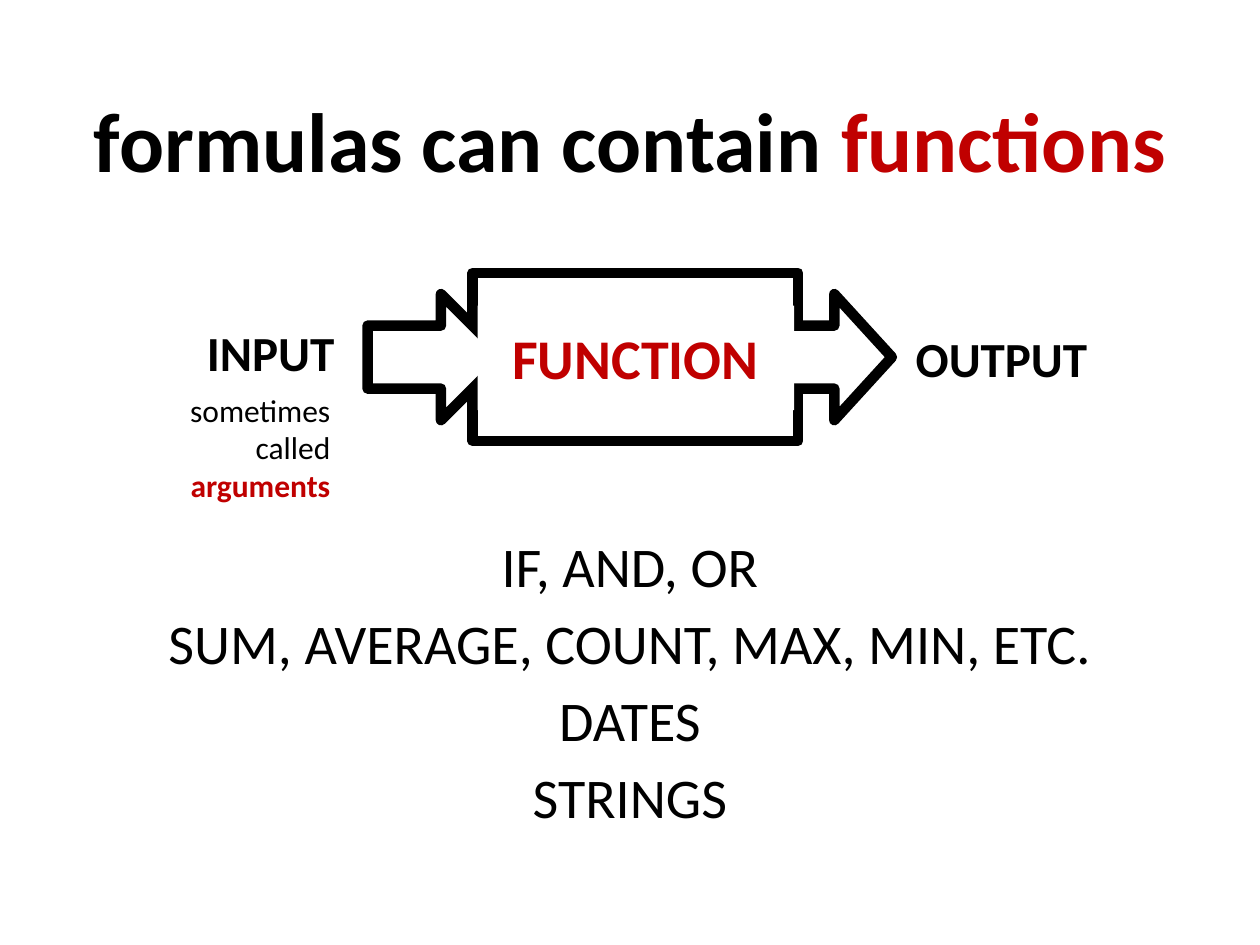
import pptx
import pptx.dml.color
import pptx.enum.shapes
import pptx.enum.text
import pptx.util

Cm = pptx.util.Cm
Pt = pptx.util.Pt
SHAPE = pptx.enum.shapes.MSO_SHAPE
ALIGN = pptx.enum.text.PP_ALIGN
ANCHOR = pptx.enum.text.MSO_ANCHOR

BLACK = "000000"
WHITE = "FFFFFF"
RED = "C00000"


def color(value):
    return pptx.dml.color.RGBColor.from_string(value)


def write(frame, paragraphs, size, align=ALIGN.LEFT, anchor=ANCHOR.TOP, space_before=0):
    frame.word_wrap = True
    frame.vertical_anchor = anchor
    for index, runs in enumerate(paragraphs):
        paragraph = frame.paragraphs[0] if index == 0 else frame.add_paragraph()
        paragraph.alignment = align
        paragraph.space_before = Pt(space_before)
        for text, ink, bold in runs:
            for number, line in enumerate(text.split("\n")):
                if number:
                    paragraph.add_line_break()
                if not line:
                    continue
                run = paragraph.add_run()
                run.text = line
                run.font.name = "Calibri"
                run.font.size = Pt(size)
                run.font.bold = bold
                run.font.color.rgb = color(ink)


def add_text(slide, box, paragraphs, size, **layout):
    label = slide.shapes.add_textbox(*map(Cm, box))
    write(label.text_frame, paragraphs, size, **layout)


def add_block(group, kind, box, outlined=True):
    block = group.shapes.add_shape(kind, *map(Cm, box))
    block.shadow.inherit = False
    block.fill.solid()
    block.fill.fore_color.rgb = color(WHITE)
    if outlined:
        block.line.color.rgb = color(BLACK)
        block.line.width = Pt(6)
    else:
        block.line.fill.background()
    return block


def add_machine(slide):
    machine = slide.shapes.add_group_shape()
    body = add_block(machine, SHAPE.RECTANGLE, (9.53, 5.5, 6.56, 3.39))
    write(body.text_frame, [[("FUNCTION", RED, True)]], 32,
          align=ALIGN.CENTER, anchor=ANCHOR.MIDDLE)
    for left, width in ((7.41, 2.75), (15.66, 2.32)):
        add_block(machine, SHAPE.RIGHT_ARROW, (left, 5.93, width, 2.54))
    for left, width in ((15.37, 0.64), (9.63, 0.7)):
        add_block(machine, SHAPE.RECTANGLE, (left, 6.16, width, 2.11), outlined=False)


def main():
    deck = pptx.Presentation()
    deck.slide_width, deck.slide_height = Cm(25.4), Cm(19.05)
    slide = deck.slides.add_slide(deck.slide_layouts[6])

    add_machine(slide)
    add_text(slide, (3.18, 6.38, 3.81, 1.45), [[("INPUT", BLACK, True)]], 28,
             align=ALIGN.RIGHT)
    add_text(slide, (18.21, 6.5, 5.28, 1.45), [[("OUTPUT", BLACK, True)]], 28)

    examples = ("IF, AND, OR", "SUM, AVERAGE, COUNT, MAX, MIN, ETC.", "DATES", "STRINGS")
    add_text(slide, (1.27, 10.59, 22.86, 6.43),
             [[(example, BLACK, False)] for example in examples], 32,
             align=ALIGN.CENTER, space_before=5.5)

    title = [("formulas can contain ", BLACK, True), ("functions", RED, True)]
    add_text(slide, (1.27, 1.22, 22.86, 3.18), [title], 48,
             align=ALIGN.CENTER, anchor=ANCHOR.MIDDLE)

    synonym = [("sometimes\ncalled\n", BLACK, False), ("arguments", RED, True)]
    add_text(slide, (2.26, 7.75, 4.65, 2.57), [synonym], 18, align=ALIGN.RIGHT)

    deck.save("out.pptx")


main()
